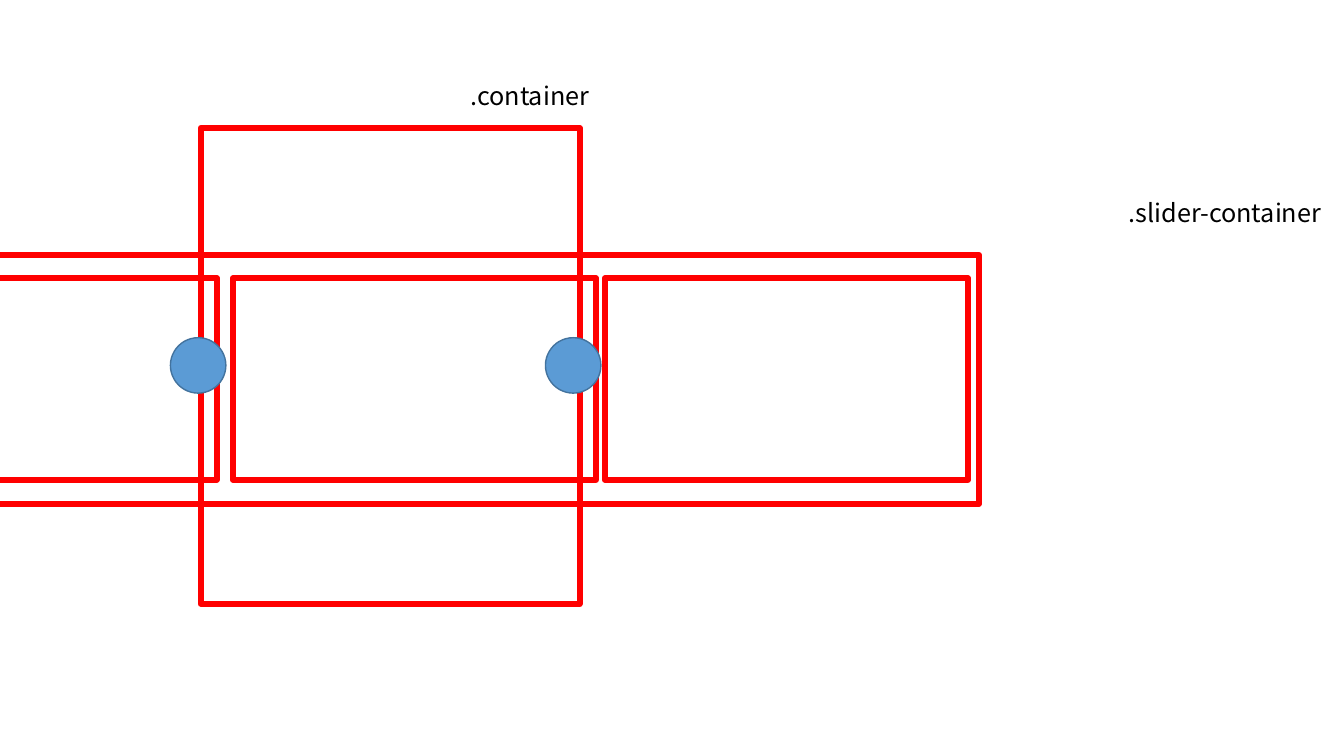
from pptx import Presentation
from pptx.dml.color import RGBColor
from pptx.enum.shapes import MSO_SHAPE as SHAPE
from pptx.enum.text import MSO_AUTO_SIZE as AUTO, PP_ALIGN as ALIGN
from pptx.util import Inches, Pt

COLORS = {"frame": "FF0000", "button": "5B9BD5", "button_edge": "43739E", "text": "000000"}
FONT = {"name": "Noto Sans CJK KR", "size": Pt(18)}

CONTAINER = (1.99, 1.27, 3.76, 4.72)
SLIDER = (-1.53, 2.53, 11.24, 2.47)
SLIDE_LEFTS = [-1.45, 2.31, 6]
SLIDE_TOP, SLIDE_W, SLIDE_H = 2.76, 3.6, 2
BUTTON_LEFTS = [1.69, 5.41]
BUTTON_TOP, BUTTON_SIZE = 3.35, 0.55
LABELS = [
    (".container", (4.54, 0.75, 1.43, 0.4)),
    (".slider-container", (10.97, 1.91, 2.36, 0.4)),
]


def rgb(name):
    return RGBColor.from_string(COLORS[name])


def add_outline(shapes, kind, box, line, width, fill=None):
    s = shapes.add_shape(kind, *map(Inches, box))
    s.shadow.inherit = False
    s.line.color.rgb = rgb(line)
    s.line.width = Pt(width)
    if fill:
        s.fill.solid()
        s.fill.fore_color.rgb = rgb(fill)
    else:
        s.fill.background()


def add_frame(shapes, box):
    add_outline(shapes, SHAPE.RECTANGLE, box, "frame", 4.25)


def add_label(shapes, text, box):
    tf = shapes.add_textbox(*map(Inches, box)).text_frame
    tf.word_wrap = True
    tf.auto_size = AUTO.SHAPE_TO_FIT_TEXT
    p = tf.paragraphs[0]
    p.alignment = ALIGN.CENTER
    r = p.add_run()
    r.text = text
    for key, value in FONT.items():
        setattr(r.font, key, value)
    r.font.color.rgb = rgb("text")


def main():
    prs = Presentation()
    prs.slide_width, prs.slide_height = Inches(13.33), Inches(7.5)
    shapes = prs.slides.add_slide(prs.slide_layouts[6]).shapes

    add_frame(shapes, CONTAINER)
    for text, box in LABELS:
        add_label(shapes, text, box)

    slider = shapes.add_group_shape().shapes
    add_frame(slider, SLIDER)
    for left in SLIDE_LEFTS:
        add_frame(slider, (left, SLIDE_TOP, SLIDE_W, SLIDE_H))

    for left in BUTTON_LEFTS:
        box = (left, BUTTON_TOP, BUTTON_SIZE, BUTTON_SIZE)
        add_outline(shapes, SHAPE.OVAL, box, "button_edge", 1, "button")

    prs.save("out.pptx")


if __name__ == "__main__":
    main()
